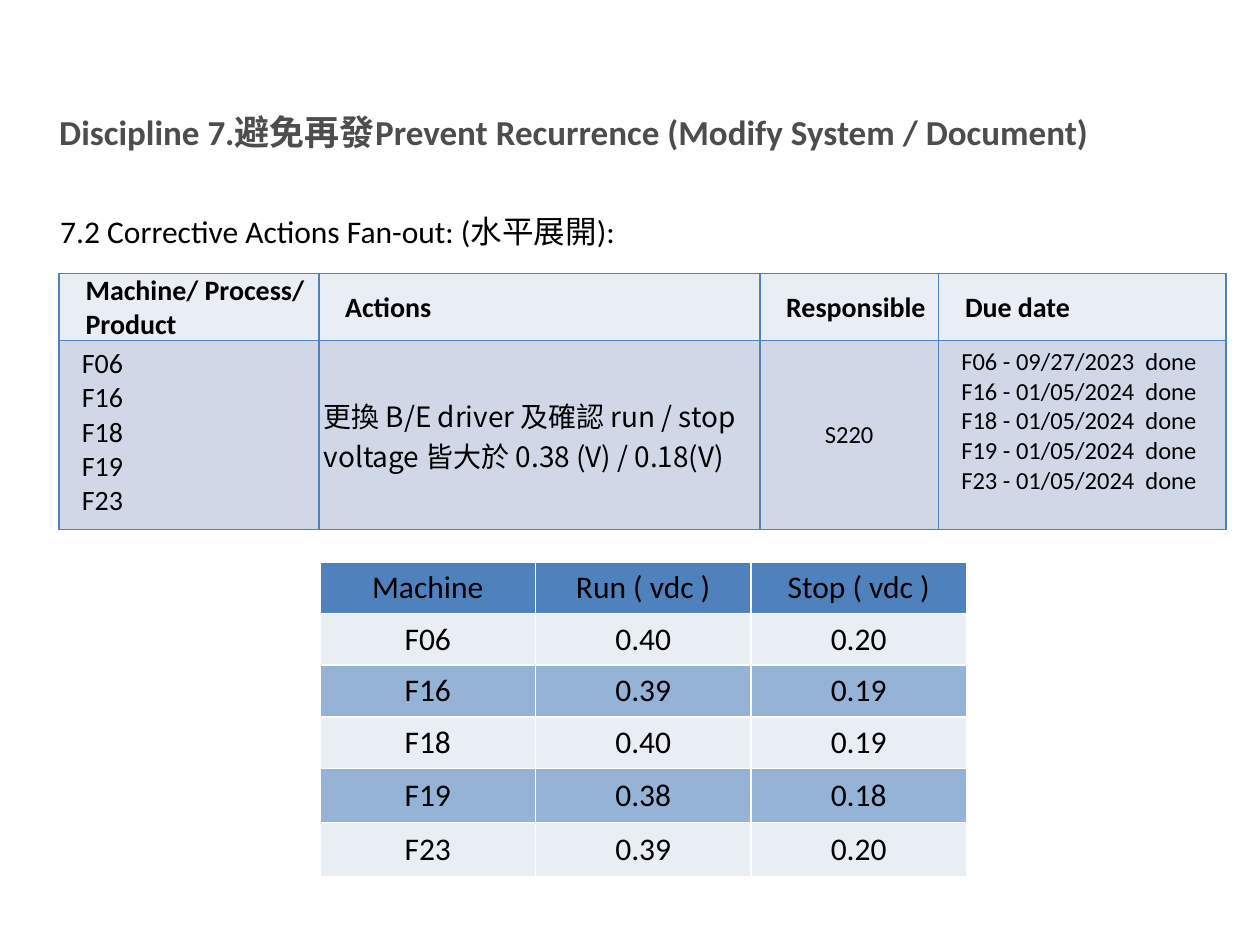
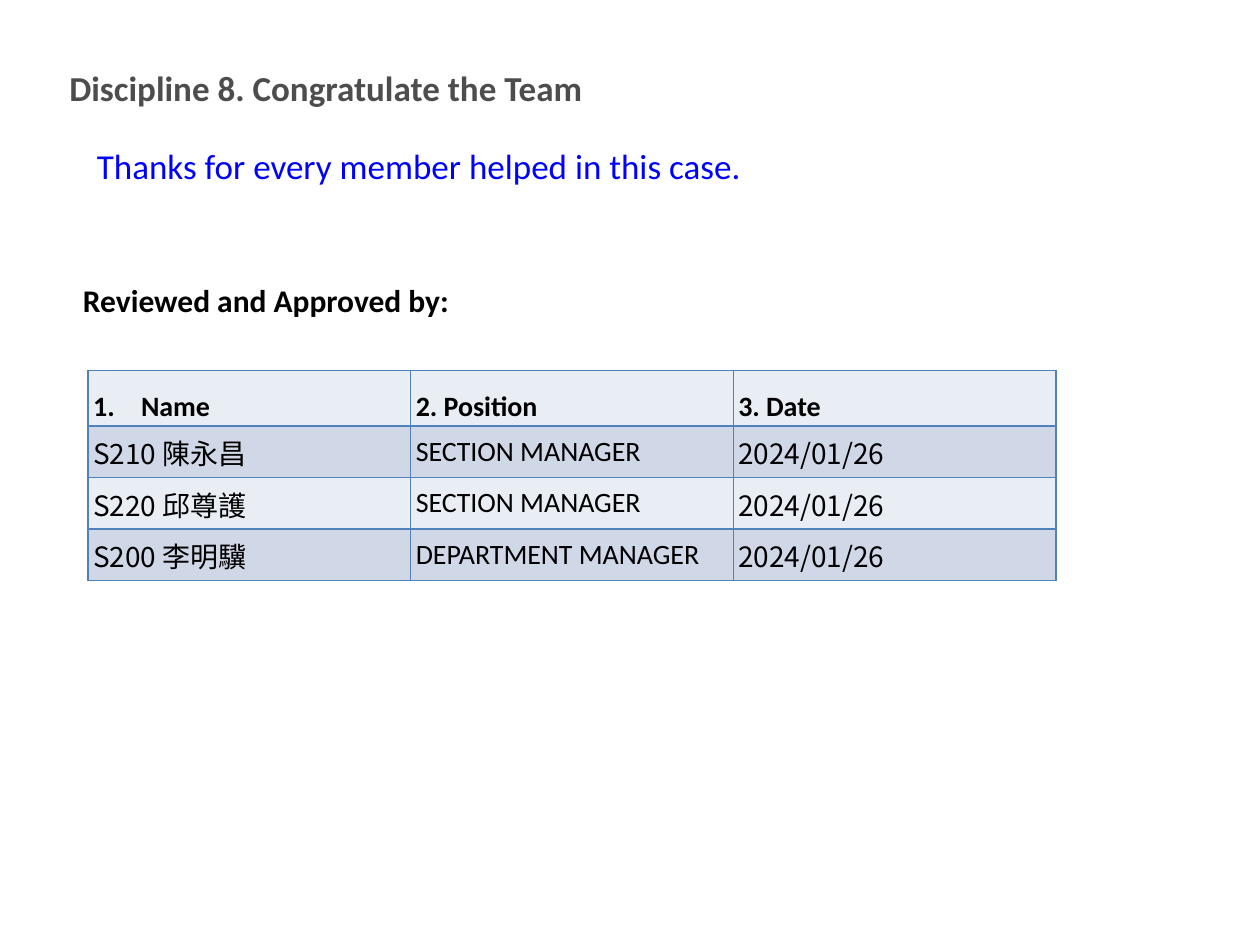
from pptx import Presentation
from pptx.dml.color import RGBColor
from pptx.enum.text import MSO_ANCHOR, MSO_AUTO_SIZE, PP_ALIGN
from pptx.oxml.ns import qn
from pptx.util import Inches, Pt
from lxml.etree import SubElement

LATIN_FONT = "Calibri"
ASIAN_FONT = "Noto Sans CJK SC"
BLACK = RGBColor(0x00, 0x00, 0x00)
TITLE_GRAY = RGBColor(0x4D, 0x4D, 0x4D)
THANKS_BLUE = RGBColor(0x00, 0x00, 0xFF)
WHITE = RGBColor(0xFF, 0xFF, 0xFF)
TABLE_BLUE = RGBColor(0x4F, 0x81, 0xBD)
BAND_BLUE = RGBColor(0x95, 0xB3, 0xD7)
LIGHT = RGBColor(0xE9, 0xED, 0xF4)
MEDIUM = RGBColor(0xD0, 0xD8, 0xE8)
INDENT = 0.14


def write_text(frame, text, size=16, bold=False, color=BLACK, font=LATIN_FONT,
               align=PP_ALIGN.LEFT, anchor=MSO_ANCHOR.TOP, spacing=None,
               left_indent=0, numbered=False):
    frame.vertical_anchor = anchor
    for index, line in enumerate(text.split("\n")):
        paragraph = frame.paragraphs[0] if index == 0 else frame.add_paragraph()
        properties = paragraph._p.get_or_add_pPr()
        properties.set("marL", str(Inches(left_indent)))
        properties.set("indent", str(-Inches(left_indent) if numbered else 0))
        if numbered:
            SubElement(properties, qn("a:buAutoNum"), type="arabicPeriod")
        paragraph.alignment = align
        if spacing:
            paragraph.line_spacing = spacing
        run = paragraph.add_run()
        run.text = line
        run.font.size = Pt(size)
        run.font.bold = bold
        run.font.color.rgb = color
        run.font.name = font
        SubElement(run._r.get_or_add_rPr(), qn("a:ea"), typeface=ASIAN_FONT)


def add_title(slide, text, box):
    title = slide.shapes.title
    title.left, title.top, title.width, title.height = map(Inches, box)
    title.text_frame.auto_size = MSO_AUTO_SIZE.NONE
    write_text(title.text_frame, text, size=20, bold=True, color=TITLE_GRAY,
               anchor=MSO_ANCHOR.MIDDLE)


def add_text(slide, text, box, wrap=True, **text_format):
    frame = slide.shapes.add_textbox(*map(Inches, box)).text_frame
    frame.word_wrap = wrap
    write_text(frame, text, **text_format)


def add_grid(slide, left, top, widths, heights, border):
    shape = slide.shapes.add_table(len(heights), len(widths), Inches(left), Inches(top),
                                   Inches(sum(widths)), Inches(sum(heights)))
    table = shape.table
    table.first_row = False
    table.horz_banding = False
    for column, width in zip(table.columns, widths):
        column.width = Inches(width)
    for row, height in zip(table.rows, heights):
        row.height = Inches(height)
    for cell in table.iter_cells():
        for side in ("lnL", "lnR", "lnT", "lnB"):
            line = SubElement(cell._tc.get_or_add_tcPr(), qn(f"a:{side}"), w=str(Pt(1)))
            fill = SubElement(line, qn("a:solidFill"))
            SubElement(fill, qn("a:srgbClr"), val=str(border))
    return table


def fill_cell(cell, text, fill, side_margin, edge_margin, **text_format):
    cell.fill.solid()
    cell.fill.fore_color.rgb = fill
    cell.margin_left = cell.margin_right = Inches(side_margin)
    cell.margin_top = cell.margin_bottom = Inches(edge_margin)
    write_text(cell.text_frame, text, **text_format)
    cell.vertical_anchor = text_format.get("anchor", MSO_ANCHOR.TOP)


def add_actions_table(slide, left, top):
    table = add_grid(slide, left, top, (2.06, 3.5, 1.42, 2.28), (0.53, 1.5), TABLE_BLUE)
    machines = ("F06", "F16", "F18", "F19", "F23")
    due_dates = ["09/27/2023"] + ["01/05/2024"] * 4
    due_text = "\n".join(f"{machine} - {date}  done"
                         for machine, date in zip(machines, due_dates))
    headers = ("Machine/ Process/ Product", "Actions", "Responsible", "Due date")
    for column, header in enumerate(headers):
        fill_cell(table.cell(0, column), header, LIGHT, 0.07, 0, bold=True,
                  left_indent=INDENT, spacing=1.5 if column else None)
    body = (
        ("\n".join(machines), dict(left_indent=INDENT)),
        ("更換 B/E driver 及確認 run / stop voltage 皆大於 0.38 (V) / 0.18(V)",
         dict(font=ASIAN_FONT, anchor=MSO_ANCHOR.MIDDLE)),
        ("S220", dict(size=14, align=PP_ALIGN.CENTER, anchor=MSO_ANCHOR.MIDDLE)),
        (due_text, dict(size=14, left_indent=INDENT)),
    )
    for column, (text, text_format) in enumerate(body):
        fill_cell(table.cell(1, column), text, MEDIUM, 0.04, 0.05, **text_format)


def add_voltage_table(slide, left, top):
    rows = (
        ("Machine", "Run ( vdc )", "Stop ( vdc )"),
        ("F06", "0.40", "0.20"),
        ("F16", "0.39", "0.19"),
        ("F18", "0.40", "0.19"),
        ("F19", "0.38", "0.18"),
        ("F23", "0.39", "0.20"),
    )
    table = add_grid(slide, left, top, [1.71] * 3, [0.41] * 4 + [0.43] * 2, WHITE)
    for row, values in enumerate(rows):
        fill = TABLE_BLUE if row == 0 else LIGHT if row % 2 else BAND_BLUE
        for column, value in enumerate(values):
            fill_cell(table.cell(row, column), value, fill, 0.01, 0.01, size=18,
                      align=PP_ALIGN.CENTER, anchor=MSO_ANCHOR.MIDDLE)


def add_approval_table(slide, left, top):
    approvers = (
        ("S210 陳永昌", "SECTION MANAGER"),
        ("S220 邱尊護", "SECTION MANAGER"),
        ("S200 李明驥", "DEPARTMENT MANAGER"),
    )
    table = add_grid(slide, left, top, [2.56] * 3, [0.43] + [0.41] * 3, TABLE_BLUE)
    for column, header in enumerate(("Name", "2. Position", "3. Date")):
        numbered = column == 0
        fill_cell(table.cell(0, column), header, LIGHT, 0.04, 0.02, bold=True, spacing=1.5,
                  anchor=MSO_ANCHOR.MIDDLE, numbered=numbered,
                  left_indent=0.38 if numbered else 0)
    fonts = (ASIAN_FONT, LATIN_FONT, ASIAN_FONT)
    for row, approver in enumerate(approvers, start=1):
        for column, text in enumerate((*approver, "2024/01/26")):
            fill_cell(table.cell(row, column), text, MEDIUM if row % 2 else LIGHT, 0.04, 0.05,
                      font=fonts[column], anchor=MSO_ANCHOR.MIDDLE)


def build_recurrence_slide(slide):
    add_title(slide, "Discipline 7.避免再發Prevent Recurrence (Modify System / Document)",
              (0.37, 0.82, 9.63, 0.44))
    add_text(slide, "7.2 Corrective Actions Fan-out: (水平展開):", (0.38, 1.63, 7.97, 0.4), size=18)
    add_actions_table(slide, 0.47, 2.17)
    add_voltage_table(slide, 2.54, 4.46)


def build_congratulation_slide(slide):
    add_title(slide, "Discipline 8. Congratulate the Team", (0.45, 0.48, 8.32, 0.43))
    add_text(slide, "Thanks for every member helped in this case.", (0.67, 1.09, 8.32, 0.44),
             size=20, color=THANKS_BLUE, anchor=MSO_ANCHOR.MIDDLE)
    add_text(slide, "Reviewed and Approved by:", (0.42, 2.03, 3.27, 0.61), wrap=False,
             size=18, bold=True, spacing=1.5, left_indent=INDENT)
    add_approval_table(slide, 0.7, 2.94)


def main():
    presentation = Presentation()
    presentation.slide_width = Inches(10)
    presentation.slide_height = Inches(7.5)
    title_only = presentation.slide_layouts[5]
    for build_slide in (build_recurrence_slide, build_congratulation_slide):
        build_slide(presentation.slides.add_slide(title_only))
    presentation.save("out.pptx")


if __name__ == "__main__":
    main()
